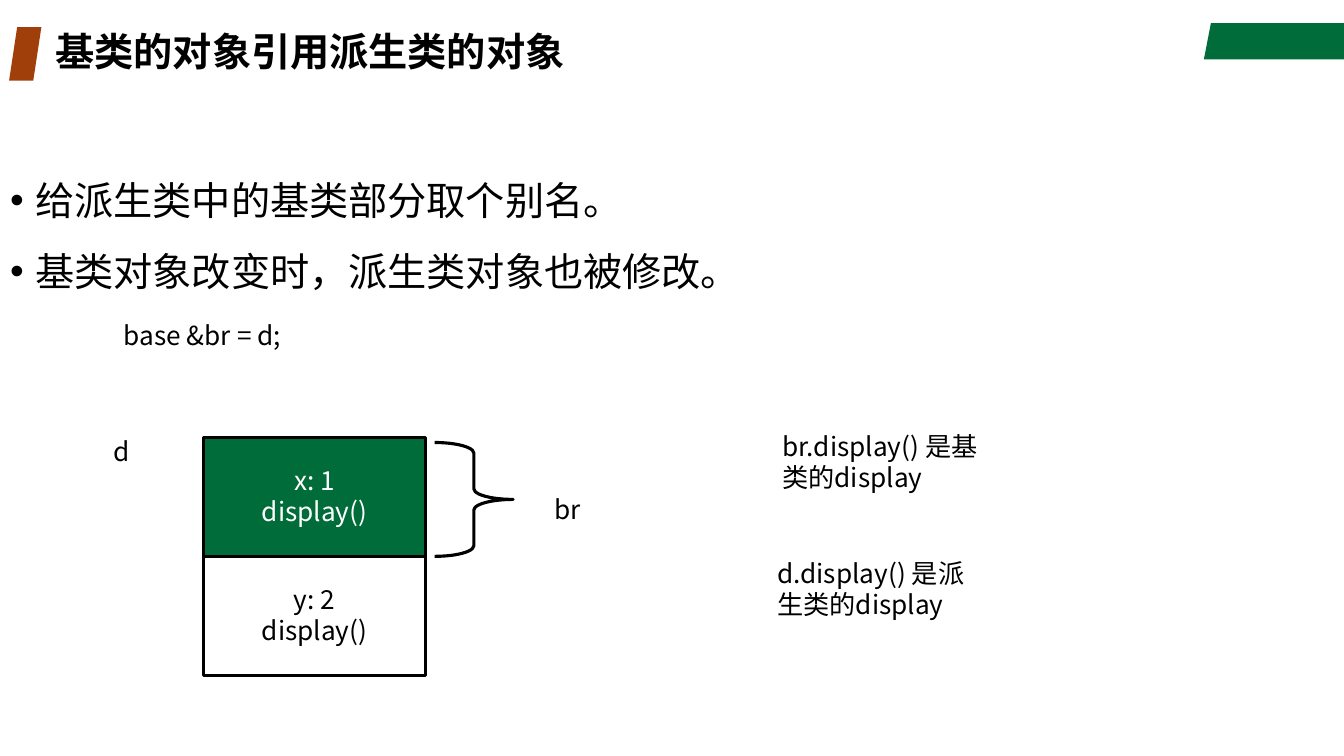
from dataclasses import dataclass

from lxml import etree
from pptx import Presentation
from pptx.dml.color import RGBColor
from pptx.enum.shapes import MSO_SHAPE
from pptx.enum.text import MSO_ANCHOR, MSO_AUTO_SIZE, PP_ALIGN
from pptx.oxml.ns import qn
from pptx.util import Inches, Pt

RECTANGLE = MSO_SHAPE.RECTANGLE
PARALLELOGRAM = MSO_SHAPE.PARALLELOGRAM
RIGHT_BRACE = MSO_SHAPE.RIGHT_BRACE
TOP, MIDDLE = MSO_ANCHOR.TOP, MSO_ANCHOR.MIDDLE
LEFT, CENTER, JUSTIFY = PP_ALIGN.LEFT, PP_ALIGN.CENTER, PP_ALIGN.JUSTIFY
NO_AUTOFIT = MSO_AUTO_SIZE.NONE


@dataclass(frozen=True)
class Theme:
    font: str = "Noto Sans CJK SC"
    green: RGBColor = RGBColor(0x00, 0x6C, 0x39)
    rust: RGBColor = RGBColor(0xA1, 0x3F, 0x0B)
    black: RGBColor = RGBColor(0x00, 0x00, 0x00)
    white: RGBColor = RGBColor(0xFF, 0xFF, 0xFF)
    heading_size: Pt = Pt(28)
    label_size: Pt = Pt(18.7)
    line_width: Pt = Pt(2.25)


THEME = Theme()


def add_bullet(para):
    """Give the paragraph a hanging round bullet."""
    properties = para._p.get_or_add_pPr()
    properties.set("marL", str(Inches(0.25)))
    properties.set("indent", str(Inches(-0.25)))
    etree.SubElement(properties, qn("a:buFont"), typeface="Arial")
    etree.SubElement(properties, qn("a:buChar"), char="•")


def write_text(shape, lines, size=THEME.label_size, color=THEME.black, bold=False,
               align=LEFT, anchor=TOP, spacing=1.0, gap=0, bullets=False, inset=None):
    """Write one paragraph per line in the given format."""
    frame = shape.text_frame
    frame.word_wrap = True
    frame.auto_size = NO_AUTOFIT
    frame.vertical_anchor = anchor
    if inset is not None:
        frame.margin_left = frame.margin_right = Inches(inset)
        frame.margin_top = frame.margin_bottom = Inches(inset)
    for index, line in enumerate(lines):
        para = frame.add_paragraph() if index else frame.paragraphs[0]
        if bullets:
            add_bullet(para)
        para.alignment = align
        para.line_spacing = spacing
        para.space_before = Pt(gap if index else 0)
        span = para.add_run()
        span.text = line
        span.font.size = size
        span.font.bold = bold
        span.font.color.rgb = color
        span.font.name = THEME.font
        etree.SubElement(span._r.get_or_add_rPr(), qn("a:ea"), typeface=THEME.font)


def place(shape, left, top, width, height):
    shape.left, shape.top = Inches(left), Inches(top)
    shape.width, shape.height = Inches(width), Inches(height)


def add_label(shapes, lines, left, top, width, height, **text_format):
    box = shapes.add_textbox(Inches(left), Inches(top), Inches(width), Inches(height))
    write_text(box, lines, **text_format)


def paint(shape, fill=None, line=None):
    shape.shadow.inherit = False
    if fill is None:
        shape.fill.background()
    else:
        shape.fill.solid()
        shape.fill.fore_color.rgb = fill
    if line is None:
        shape.line.fill.background()
    else:
        shape.line.color.rgb = line
        shape.line.width = THEME.line_width


def add_preset(shapes, kind, left, top, width, height, fill=None, line=None):
    shape = shapes.add_shape(kind, Inches(left), Inches(top), Inches(width), Inches(height))
    paint(shape, fill, line)
    return shape


def add_decoration(shapes):
    """Draw the corner ribbon and the title marker."""
    outline = [(12.01, 0.23), (13.33, 0.23), (13.33, 0.59), (11.94, 0.59)]
    corners = [(Inches(x), Inches(y)) for x, y in outline]
    builder = shapes.build_freeform(*corners[0])
    builder.add_line_segments(corners[1:], close=True)
    paint(builder.convert_to_shape(), THEME.green)
    add_preset(shapes, PARALLELOGRAM, 0.09, 0.27, 0.32, 0.53, THEME.rust)


def add_object_diagram(shapes):
    """Draw object d as stacked members, with br bracing the base part."""
    left, top, width, height = 2.02, 4.34, 2.2, 1.18
    members = [("x: 1", THEME.green, THEME.white), ("y: 2", None, THEME.black)]
    for row, (value, fill, color) in enumerate(members):
        cell = add_preset(shapes, RECTANGLE, left, top + row * height, width, height,
                          fill, THEME.black)
        write_text(cell, [value, "display()"], color=color, align=CENTER,
                   anchor=MIDDLE, spacing=0.96, inset=0)
    for name, x, y in [("d", 1.13, top), ("br", 5.5, 4.91)]:
        add_label(shapes, [name], x, y, 0.64, 0.48, align=JUSTIFY, spacing=0.96, inset=0)
    brace = add_preset(shapes, RIGHT_BRACE, 4.31, 4.39, 0.78, 1.13, line=THEME.black)
    brace.adjustments[0] = 0.135


def main():
    deck = Presentation()
    deck.slide_width, deck.slide_height = Inches(13.33), Inches(7.5)
    page = deck.slides.add_slide(deck.slide_layouts[1])
    add_decoration(page.shapes)

    # Title and list
    title, body = page.shapes.title, page.placeholders[1]
    place(title, 0.45, 0.27, 9.45, 0.53)
    write_text(title, ["基类的对象引用派生类的对象"], size=THEME.heading_size,
               bold=True, anchor=MIDDLE, spacing=0.9)
    place(body, 0, 1.61, 11.33, 1.51)
    write_text(body, ["给派生类中的基类部分取个别名。", "基类对象改变时，派生类对象也被修改。"],
               size=THEME.heading_size, spacing=1.2, gap=10, bullets=True)

    # Code line, diagram and remarks
    add_label(page.shapes, ["base &br = d;"], 1.13, 3.12, 3.33, 0.42)
    add_object_diagram(page.shapes.add_group_shape().shapes)
    add_label(page.shapes, ["br.display() 是基类的display"], 7.66, 4.22, 2.28, 0.73)
    add_label(page.shapes, ["d.display() 是派生类的display"], 7.61, 5.48, 2.28, 0.73)

    deck.save("out.pptx")


if __name__ == "__main__":
    main()
